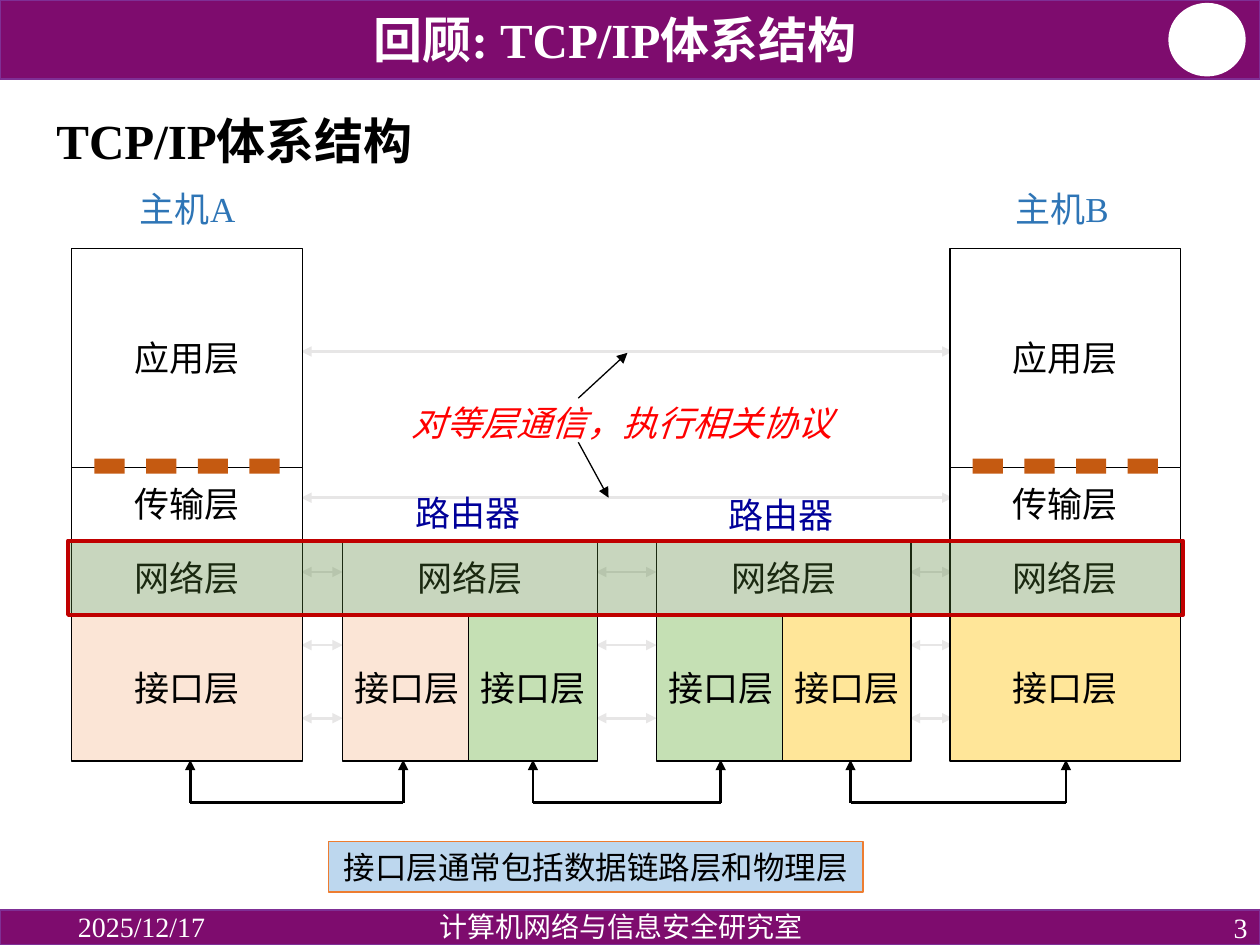
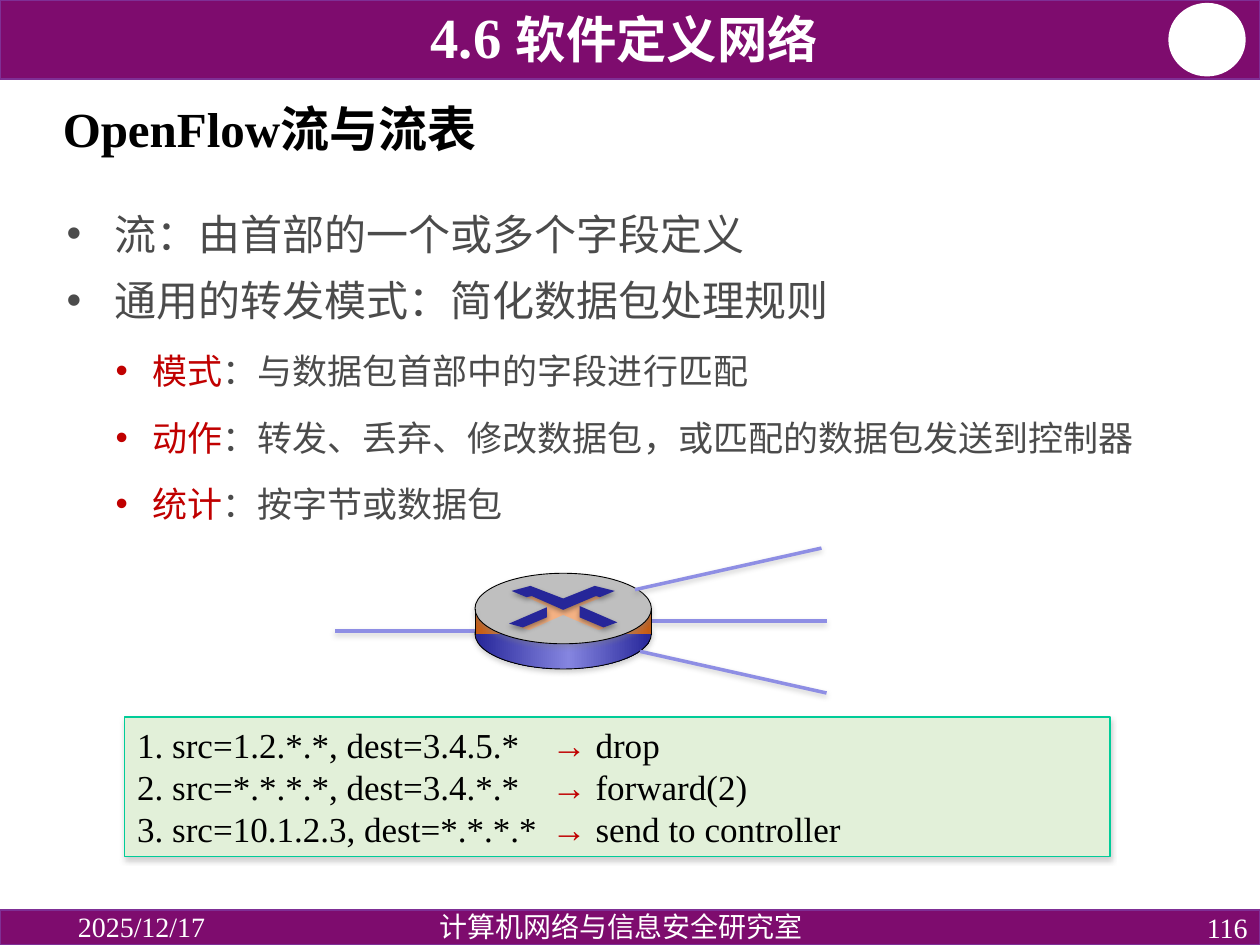
from copy import deepcopy

from lxml import etree
from pptx import Presentation
from pptx import util as u
from pptx.dml.color import RGBColor
from pptx.enum import shapes, text
from pptx.oxml.ns import qn

PX = 9144  # 100 px to the inch
WIDTH, HEIGHT = 1000, 750
LATIN, CJK = "Times New Roman", "Noto Sans CJK SC"
RECT, OVAL = shapes.MSO_SHAPE.RECTANGLE, shapes.MSO_SHAPE.OVAL
LEFT, CENTER, RIGHT = text.PP_ALIGN.LEFT, text.PP_ALIGN.CENTER, text.PP_ALIGN.RIGHT
TOP, MIDDLE, BOTTOM = (text.MSO_ANCHOR.TOP, text.MSO_ANCHOR.MIDDLE,
                       text.MSO_ANCHOR.BOTTOM)
C = {
    "band": "7E0C6E", "band_edge": "7F2F95", "white": "FFFFFF", "black": "000000",
    "peer": "E7E6E6", "red": "FF0000", "router": "000099", "host": "2E75B6",
    "peach": "FBE5D6", "green": "C5E0B4", "yellow": "FFE699",
    "highlight": "548235", "dark_red": "C00000", "dash": "C55A11",
    "note": "BDD7EE", "note_edge": "ED7D31", "body": "4B4B4B",
    "cable": "8E8EE4", "shade": "808080", "navy": "262699", "lilac": "8585E0",
    "orange": "F4B183", "lid": "BFBFBF", "rules": "E2F0D9", "rules_edge": "00CC98",
}


def draw(slide, at, kind=RECT, fill=None, line=None, weight=0.75, alpha=None,
         shadow=None, ends=()):
    """Add a preset shape, "text" box, "line" (x1, y1, x2, y2) or "outline" of points.

    A list as fill is a left-to-right gradient of (position, colour) stops.
    """
    if kind == "outline":
        builder = slide.shapes.build_freeform(*at[0], scale=PX)
        builder.add_line_segments(at[1:], close=True)
        item = builder.convert_to_shape()
    else:
        emu = [round(v * PX) for v in at]
        if kind == "text":
            return slide.shapes.add_textbox(*emu)
        if kind == "line":
            item = slide.shapes.add_connector(shapes.MSO_CONNECTOR.STRAIGHT, *emu)
        else:
            item = slide.shapes.add_shape(kind, *emu)
    props = item._element.spPr

    if isinstance(fill, list):
        item.fill.gradient()
        item.fill.gradient_angle = 0
        stops = props.find(".//" + qn("a:gsLst"))
        stops.append(deepcopy(stops[0]))
        for stop, (position, colour) in zip(item.fill.gradient_stops, fill):
            stop.position = position
            stop.color.rgb = RGBColor.from_string(C[colour])
    elif fill:
        item.fill.solid()
        item.fill.fore_color.rgb = RGBColor.from_string(C[fill])
        if alpha:
            colour = props.find(".//" + qn("a:srgbClr"))
            etree.SubElement(colour, qn("a:alpha"), val=str(alpha * 1000))
    elif kind != "line":
        item.fill.background()

    if line:
        item.line.color.rgb = RGBColor.from_string(C[line])
        item.line.width = u.Pt(weight)
        for end in ends:
            etree.SubElement(props.find(qn("a:ln")), qn("a:" + end), type="triangle")
    else:
        item.line.fill.background()

    if kind == "line":
        etree.SubElement(props, qn("a:effectLst"))
    else:
        item.shadow.inherit = False
    if shadow:
        cast = etree.SubElement(props.find(qn("a:effectLst")), qn("a:outerShdw"),
                                blurRad="39370", dist="20320", dir="5400000",
                                algn="ctr", rotWithShape="0")
        colour = etree.SubElement(cast, qn("a:srgbClr"), val=C[shadow])
        etree.SubElement(colour, qn("a:alpha"), val="36000")
    return item


def write(item, lines, color="black", align=LEFT, anchor=TOP, wrap=True,
          spacing=None, before=None, **font):
    """Fill a shape with lines; each is a string or a list of (words, changes)."""
    frame = item.text_frame
    frame.word_wrap, frame.vertical_anchor = wrap, anchor
    for i, line in enumerate(lines):
        para = frame.add_paragraph() if i else frame.paragraphs[0]
        para.alignment = align
        if spacing:
            para.line_spacing = spacing
        if before and i:
            para.space_before = u.Pt(before)
        for words, changes in [(line, {})] if isinstance(line, str) else line:
            run = para.add_run()
            run.text = words
            look = {"name": LATIN, "size": 20, "color": color, **font, **changes}
            run.font.color.rgb = RGBColor.from_string(C[look.pop("color")])
            look["size"] = u.Pt(look["size"])
            for name, value in look.items():
                setattr(run.font, name, value)
            etree.SubElement(run.font._element, qn("a:ea"), typeface=CJK)
    return item


prs = Presentation()
prs.slide_width, prs.slide_height = WIDTH * PX, HEIGHT * PX
review, flows = [prs.slides.add_slide(prs.slide_layouts[6]) for _ in range(2)]

# Bands, badge and footer on every slide
for slide, page in ((review, "3"), (flows, "116")):
    draw(slide, (0, 0, WIDTH, 63), fill="band", line="band_edge", weight=1)
    draw(slide, (928, 3, 60, 57), OVAL, fill="white", line="white", weight=1)
    draw(slide, (0, 722, WIDTH, 28), fill="band", line="band_edge", weight=1)
    for at, words, style in (
        ((52, 722, 225, 26), "2025/12/17", {"anchor": MIDDLE}),
        ((775, 722, 225, 28), page, {"anchor": MIDDLE, "align": RIGHT}),
        ((269, 720, 448, 28), "计算机网络与信息安全研究室",
         {"align": CENTER, "spacing": 0.9}),
    ):
        write(draw(slide, at, "text"), [words], color="white", size=16, **style)

heading = {"size": 28, "bold": True, "anchor": MIDDLE}

# Slide 1: TCP/IP layers
write(draw(review, (249, 4, 478, 59), "text"), ["回顾: TCP/IP体系结构"],
      color="white", align=CENTER, spacing=0.9, **heading)
write(draw(review, (35, 67, 917, 79), "text"), ["TCP/IP体系结构"],
      spacing=1.2, **heading)

both_ends = ("headEnd", "tailEnd")
peer_links = [(239, 756, y) for y in (279, 395)]
peer_links += [(x1, x2, y) for x1, x2 in ((239, 272), (473, 521), (722, 756))
               for y in (454, 512, 570)]
for x1, x2, y in peer_links:
    draw(review, (x1, y, x2, y), "line", line="peer", weight=1.5, ends=both_ends)

for x1, x2 in ((151, 320), (423, 572), (675, 846)):
    draw(review, (x1, 637, x2, 637), "line", line="black", weight=1.5)
    for x in (x1, x2):
        draw(review, (x, 637, x, 603), "line", line="black", weight=1.5,
             ends=("tailEnd",))

write(draw(review, (317, 314, 357, 44), "text"), ["对等层通信，执行相关协议"],
      color="red", italic=True, wrap=False)
for pointer in ((459, 316, 498, 280), (459, 351, 483, 395)):
    draw(review, pointer, "line", line="black", ends=("tailEnd",))

layers = []
for x, link_fill in ((57, "peach"), (754, "yellow")):
    layers += [(x, 197, 183, 174, "应用层", "white"),
               (x, 371, 183, 58, "传输层", "white"),
               (x, 429, 183, 58, "网络层", "white"),
               (x, 487, 183, 117, "接口层", link_fill)]
for x, port_fills in ((272, ("peach", "green")), (521, ("green", "yellow"))):
    layers.append((x, 429, 202, 58, "网络层", "white"))
    layers += [(x + 100 * i, 487, 102, 117, "接口层", port_fill)
               for i, port_fill in enumerate(port_fills)]
for *at, layer, fill in layers:
    write(draw(review, at, fill=fill, line="black"), [layer],
          align=CENTER, anchor=MIDDLE, wrap=False)

for x, y in ((320, 385), (568, 387)):
    write(draw(review, (x, y, 104, 44), "text"), ["路由器"], color="router", wrap=False)
for x, host in ((66, "主机A"), (760, "主机B")):
    write(draw(review, (x, 144, 166, 44), "text"), [host], color="host", align=CENTER)

draw(review, (54, 429, 885, 59), fill="highlight", alpha=32, line="dark_red",
     weight=2.25)
for host_x in (57, 754):
    for i in range(4):
        draw(review, (host_x + 18 + 41 * i, 364, 24, 12), fill="dash")

write(draw(review, (261, 668, 424, 40), fill="note", line="note_edge"),
      ["接口层通常包括数据链路层和物理层"],
      align=CENTER, wrap=False, size=18, name="Calibri")

# Slide 2: OpenFlow flows and flow table
write(draw(flows, (109, 4, 773, 56), "text"),
      [[("4.6 ", {"size": 32.4}), ("软件定义网络", {})]],
      color="white", align=CENTER, anchor=BOTTOM, spacing=0.8, size=28.8, bold=True)
write(draw(flows, (40, 64, 923, 81), "text"), ["OpenFlow流与流表"],
      spacing=0.9, **heading)

term = {"color": "dark_red", "name": CJK, "size": 20}
points = [[(words, {})] for words in ("流：由首部的一个或多个字段定义",
                                      "通用的转发模式：简化数据包处理规则")]
points += [[(name, term), (meaning, {"size": 20})] for name, meaning in (
    ("模式", "：与数据包首部中的字段进行匹配"),
    ("动作", "：转发、丢弃、修改数据包，或匹配的数据包发送到控制器"),
    ("统计", "：按字节或数据包"),
)]
summary = write(draw(flows, (43, 156, 925, 267), "text"), points, color="body",
                size=24, spacing=u.Pt(32), before=6)
for para in summary.text_frame.paragraphs:
    para.level = len(para.runs) - 1
    margin, hang = ((38, 38), (68, 29))[para.level]
    props = para._p.get_or_add_pPr()
    props.set("marL", str(margin * PX))
    props.set("indent", str(-hang * PX))
    etree.SubElement(props, qn("a:buFont"), typeface="Arial")
    etree.SubElement(props, qn("a:buChar"), char="•")

cable = {"kind": "line", "line": "cable", "weight": 2, "shadow": "shade"}
for at in ((266, 501, 387, 501), (517, 493, 656, 493)):
    draw(flows, at, **cable)

# Switch: base, side wall, lid, then the crossed arrows on the lid
rim = {"line": "black", "weight": 0.5, "shadow": "shade"}
draw(flows, (377, 475, 140, 56), OVAL,
     fill=[(0, "navy"), (0.53, "lilac"), (1, "navy")], **rim)
draw(flows, (377, 483, 140, 20),
     fill=[(0, "dash"), (0.53, "orange"), (1, "dash")])
draw(flows, (377, 455, 140, 56), OVAL, fill="lid", **rim)
draw(flows, [(447, 488), (420, 500), (413, 498), (434, 489), (434, 481),
             (418, 474), (423, 473), (447, 482), (471, 472), (478, 474),
             (460, 481), (464, 491), (481, 498), (475, 500)],
     "outline", fill="orange")
for arrow in (
    [(406, 469), (421, 465), (447, 475), (472, 465), (488, 469), (476, 474),
     (473, 473), (447, 484), (422, 473), (418, 474)],
    [(460, 481), (490, 494), (479, 498), (460, 490)],
    [(434, 482), (434, 490), (415, 498), (404, 495)],
):
    draw(flows, arrow, "outline", fill="navy", shadow="black")
for x in (377, 517):
    draw(flows, (x, 504, x, 483), "line", **rim)
for at in ((508, 517, 656, 550), (504, 468, 652, 435)):
    draw(flows, at, **cable)

rules = [
    ("1. src=1.2.*.*, dest=3.4.5.*", "drop"),
    ("2. src=*.*.*.*, dest=3.4.*.*", "forward(2)"),
    ("3. src=10.1.2.3, dest=*.*.*.*", "send to controller"),
]
table = write(
    draw(flows, (99, 569, 782, 111), fill="rules", line="rules_edge", shadow="shade"),
    [[(match + "\t", {}), ("→", {"color": "dark_red", "bold": True}),
      (" " + action, {})] for match, action in rules])
for para in table.text_frame.paragraphs:
    tabs = etree.SubElement(para._p.get_or_add_pPr(), qn("a:tabLst"))
    etree.SubElement(tabs, qn("a:tab"), pos=str(329 * PX), algn="l")

prs.save("out.pptx")
